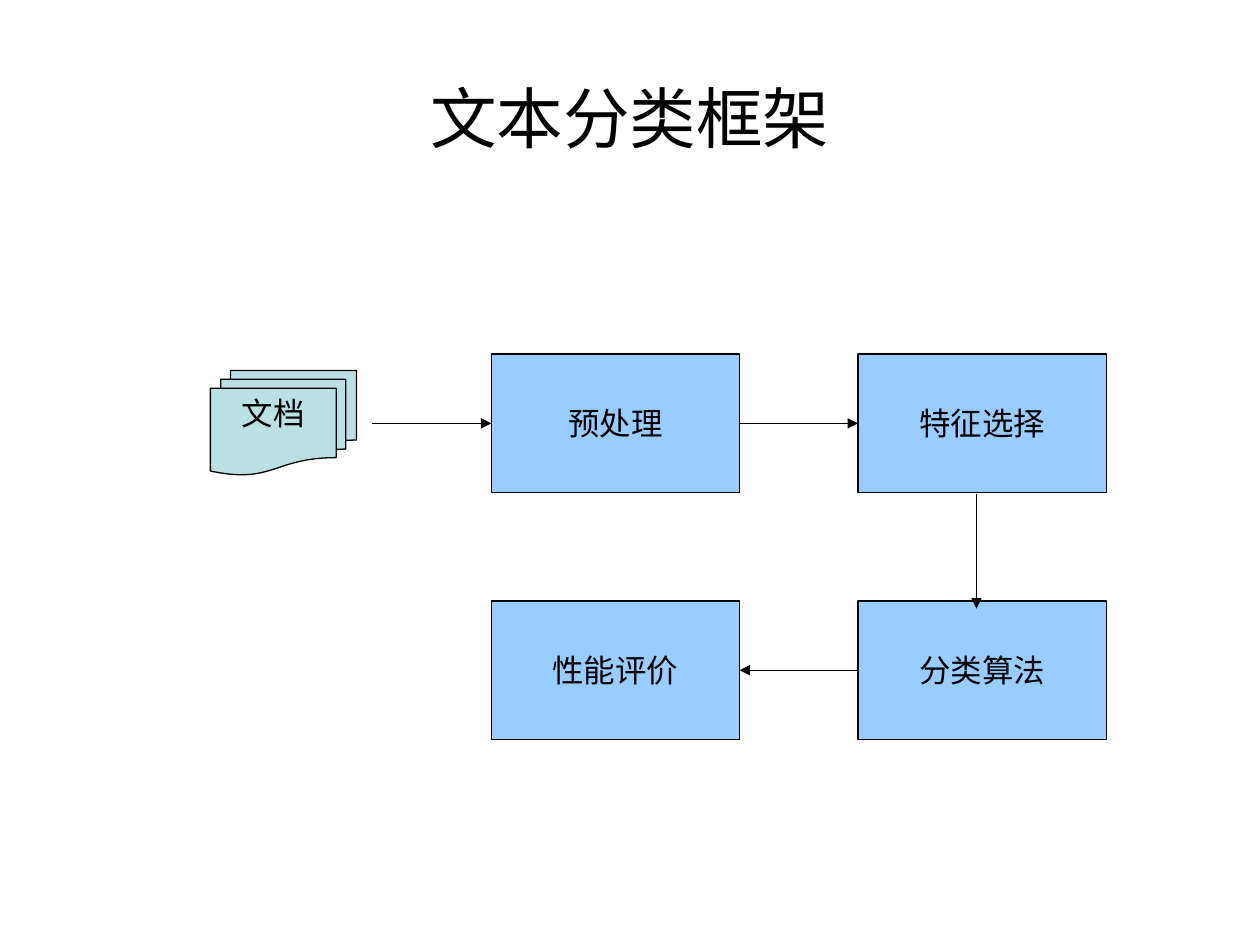
from typing import NamedTuple

from lxml.etree import SubElement
from pptx import Presentation
from pptx.dml.color import RGBColor
from pptx.enum.shapes import MSO_CONNECTOR, MSO_SHAPE
from pptx.enum.text import MSO_ANCHOR, PP_ALIGN
from pptx.oxml.ns import qn
from pptx.util import Inches, Pt

BLACK, BLUE, TEAL = "000000", "99CCFF", "BBE0E3"
COLS, ROWS = (3.9, 6.81), (2.81, 4.77)
WIDE, HIGH = 1.97, 1.1
TOP, LEFT, BOTTOM, RIGHT = range(4)


class Node(NamedTuple):
    text: str
    x: float
    y: float
    w: float = WIDE
    h: float = HIGH
    fill: str = BLUE
    kind: MSO_SHAPE = MSO_SHAPE.RECTANGLE
    anchor: MSO_ANCHOR = MSO_ANCHOR.MIDDLE
    wrap: bool = False


class Arrow(NamedTuple):
    start: tuple[float, float]
    end: tuple[float, float]
    tail: tuple[str, int] | None = None
    head: tuple[str, int] | None = None


def color(code: str) -> RGBColor:
    return RGBColor.from_string(code)


def write(shape, text: str, size: float, font: str, anchor: MSO_ANCHOR, wrap: bool) -> None:
    frame = shape.text_frame
    frame.text = text
    frame.word_wrap = wrap
    frame.vertical_anchor = anchor
    line = frame.paragraphs[0]
    line.alignment = PP_ALIGN.CENTER
    style = line.runs[0].font
    style.size = Pt(size)
    style.name = font
    style.color.rgb = color(BLACK)


def draw_node(slide, node: Node):
    shape = slide.shapes.add_shape(
        node.kind, Inches(node.x), Inches(node.y), Inches(node.w), Inches(node.h))
    shape.shadow.inherit = False
    shape.fill.solid()
    shape.fill.fore_color.rgb = color(node.fill)
    shape.line.color.rgb = color(BLACK)
    shape.line.width = Pt(0.75)
    write(shape, node.text, 18, "Cabin", node.anchor, node.wrap)
    return shape


def draw_arrow(slide, arrow: Arrow, boxes: dict) -> None:
    link = slide.shapes.add_connector(
        MSO_CONNECTOR.STRAIGHT, *map(Inches, arrow.start + arrow.end))
    link.line.color.rgb = color(BLACK)
    link.line.width = Pt(0.75)
    SubElement(link.line._get_or_add_ln(), qn("a:tailEnd"), type="triangle")
    SubElement(link._element.spPr, qn("a:effectLst"))
    if arrow.tail:
        name, side = arrow.tail
        link.begin_connect(boxes[name], side)
    if arrow.head:
        name, side = arrow.head
        link.end_connect(boxes[name], side)


def main() -> None:
    deck = Presentation()
    deck.slide_width, deck.slide_height = Inches(10), Inches(7.5)
    slide = deck.slides.add_slide(deck.slide_layouts[6])

    title = slide.shapes.add_textbox(Inches(0.5), Inches(0.3), Inches(9), Inches(1.25))
    write(title, "文本分类框架", 38, "Arial", MSO_ANCHOR.MIDDLE, True)

    steps = [
        Node("预处理", COLS[0], ROWS[0]),
        Node("特征选择", COLS[1], ROWS[0]),
        Node("分类算法", COLS[1], ROWS[1]),
        Node("性能评价", COLS[0], ROWS[1]),
    ]
    boxes = {step.text: draw_node(slide, step) for step in steps}

    upper, lower = (row + HIGH / 2 for row in ROWS)
    edge = COLS[0] + WIDE
    arrows = [
        Arrow((2.95, upper), (COLS[0], upper), head=("预处理", LEFT)),
        Arrow((edge, upper), (COLS[1], upper), ("预处理", RIGHT), ("特征选择", LEFT)),
        Arrow((COLS[1], lower), (edge, lower), ("分类算法", LEFT), ("性能评价", RIGHT)),
        Arrow((7.75, 3.92), (7.75, 4.83)),
    ]
    for arrow in arrows:
        draw_arrow(slide, arrow, boxes)

    draw_node(slide, Node("文档", 1.67, 2.94, 1.16, 0.83, TEAL,
                          MSO_SHAPE.FLOWCHART_MULTIDOCUMENT, MSO_ANCHOR.TOP, True))
    deck.save("out.pptx")


if __name__ == "__main__":
    main()
